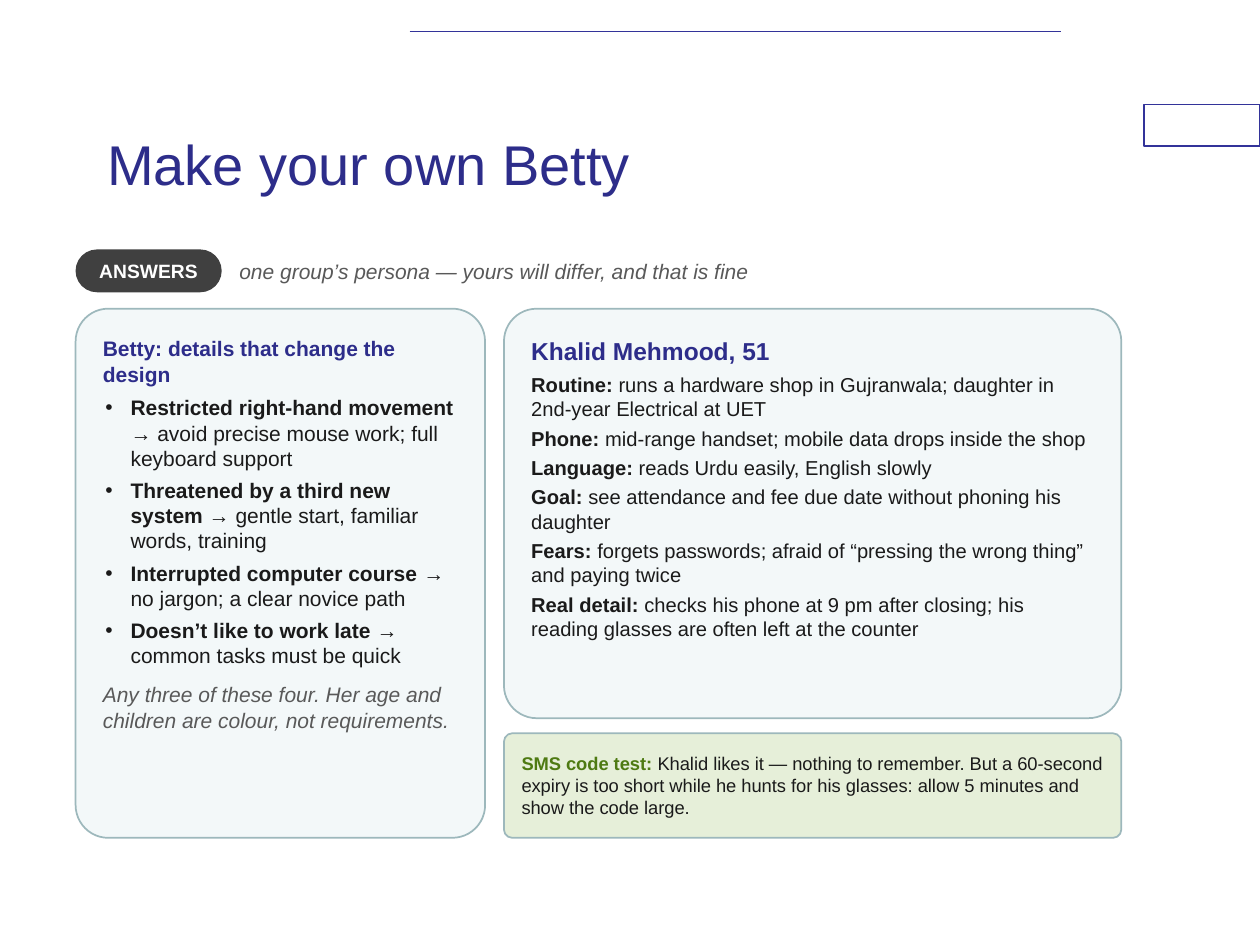
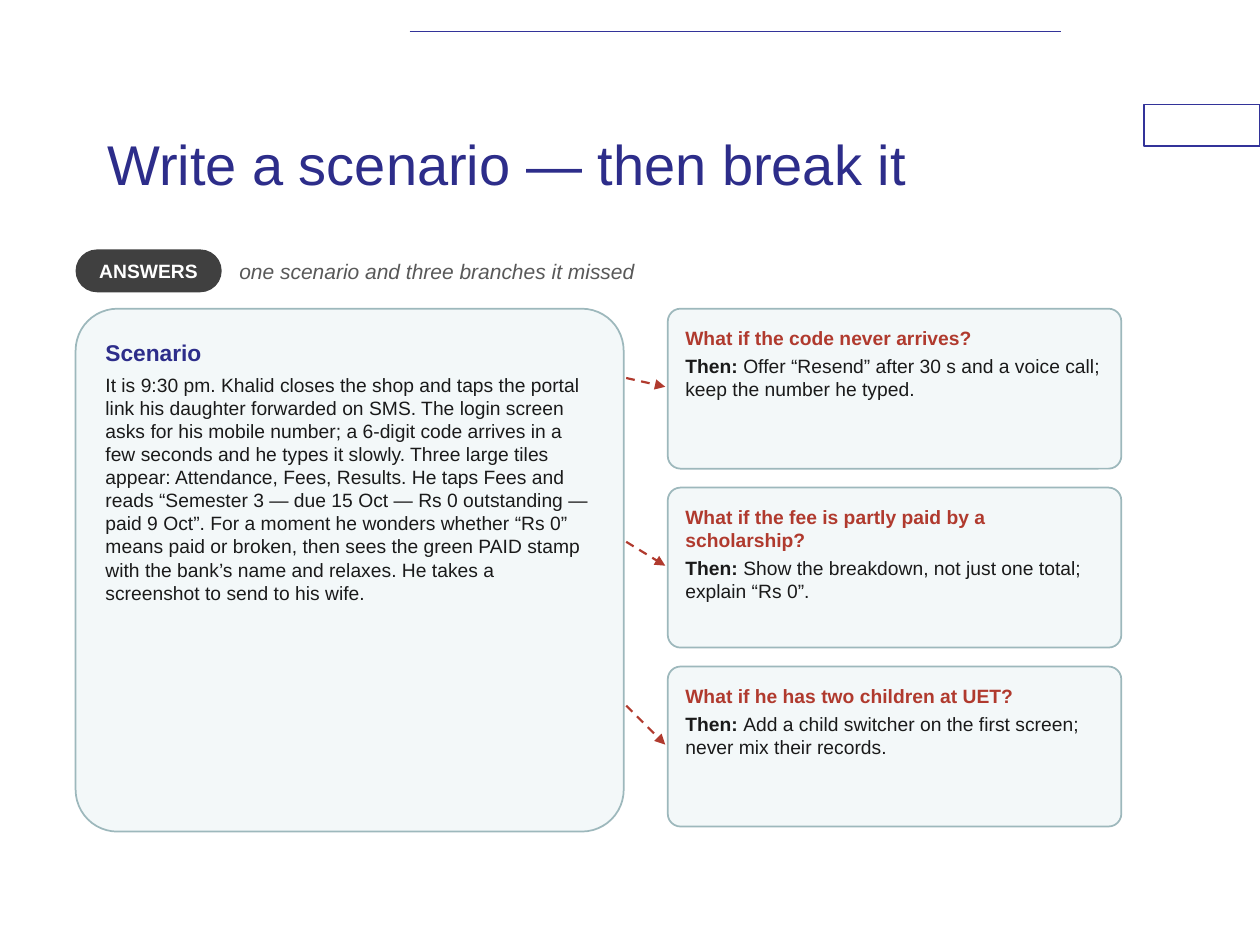
from dataclasses import dataclass

from lxml.etree import SubElement
from pptx import Presentation
from pptx.dml.color import RGBColor
from pptx.enum.dml import MSO_LINE
from pptx.enum.shapes import MSO_CONNECTOR, MSO_SHAPE
from pptx.enum.text import MSO_ANCHOR, MSO_AUTO_SIZE, PP_ALIGN
from pptx.oxml.ns import qn
from pptx.util import Inches, Pt

FONT = "Arial"
NAVY = RGBColor(0x2D, 0x2D, 0x8A)
RULE_BLUE = RGBColor(0x33, 0x33, 0x99)
WHITE = RGBColor(0xFF, 0xFF, 0xFF)
INK = RGBColor(0x1A, 0x1A, 0x1A)
GREY = RGBColor(0x59, 0x59, 0x59)
CHARCOAL = RGBColor(0x40, 0x40, 0x40)
PALE_TEAL = RGBColor(0xF3, 0xF8, 0xF9)
TEAL_EDGE = RGBColor(0x9D, 0xB8, 0xBC)
PALE_GREEN = RGBColor(0xE6, 0xEF, 0xD9)
GREEN = RGBColor(0x4E, 0x7A, 0x12)
RED = RGBColor(0xB0, 0x3A, 0x2E)


@dataclass
class Para:
    """A bold lead, a plain rest, or one followed by the other."""
    lead: str = ""
    rest: str = ""
    size: float = 12
    lead_color: RGBColor = INK
    rest_color: RGBColor = INK
    before: float = 0
    bullet: bool = False
    italic: bool = False
    align: PP_ALIGN = PP_ALIGN.LEFT


# Content: persona slide
PERSONA_TITLE = "Make your own Betty"
PERSONA_HINT = "one group’s persona — yours will differ, and that is fine"
BETTY_HEADING = "Betty: details that change the design"
BETTY_DETAILS = [
    ("Restricted right-hand movement", "avoid precise mouse work; full keyboard support"),
    ("Threatened by a third new system", "gentle start, familiar words, training"),
    ("Interrupted computer course", "no jargon; a clear novice path"),
    ("Doesn’t like to work late", "common tasks must be quick"),
]
BETTY_NOTE = "Any three of these four. Her age and children are colour, not requirements."
KHALID_HEADING = "Khalid Mehmood, 51"
KHALID_FACTS = [
    ("Routine: ", "runs a hardware shop in Gujranwala; daughter in 2nd-year Electrical at UET"),
    ("Phone: ", "mid-range handset; mobile data drops inside the shop"),
    ("Language: ", "reads Urdu easily, English slowly"),
    ("Goal: ", "see attendance and fee due date without phoning his daughter"),
    ("Fears: ", "forgets passwords; afraid of “pressing the wrong thing” and paying twice"),
    ("Real detail: ", "checks his phone at 9 pm after closing; his reading glasses are "
                      "often left at the counter"),
]
SMS_TEST = ("SMS code test: ",
            "Khalid likes it — nothing to remember. But a 60-second expiry is too short "
            "while he hunts for his glasses: allow 5 minutes and show the code large.")

# Content: scenario slide
SCENARIO_TITLE = "Write a scenario — then break it"
SCENARIO_HINT = "one scenario and three branches it missed"
SCENARIO_HEADING = "Scenario"
SCENARIO_STORY = (
    "It is 9:30 pm. Khalid closes the shop and taps the portal link his daughter "
    "forwarded on SMS. The login screen asks for his mobile number; a 6-digit code "
    "arrives in a few seconds and he types it slowly. Three large tiles appear: "
    "Attendance, Fees, Results. He taps Fees and reads “Semester 3 — due 15 Oct — "
    "Rs 0 outstanding — paid 9 Oct”. For a moment he wonders whether “Rs 0” means "
    "paid or broken, then sees the green PAID stamp with the bank’s name and relaxes. "
    "He takes a screenshot to send to his wife.")
BRANCHES = [
    ("What if the code never arrives?",
     "Offer “Resend” after 30 s and a voice call; keep the number he typed."),
    ("What if the fee is partly paid by a scholarship?",
     "Show the breakdown, not just one total; explain “Rs 0”."),
    ("What if he has two children at UET?",
     "Add a child switcher on the first screen; never mix their records."),
]

# Shared layout, in inches
LEFT, RIGHT = 0.6, 8.9
LABEL_TOP, LABEL_HEIGHT = 1.98, 0.34
BODY_TOP = 2.45


def write(frame, paras, inset, anchor=MSO_ANCHOR.TOP):
    frame.word_wrap = True
    frame.vertical_anchor = anchor
    frame.margin_left = frame.margin_right = Inches(inset)
    frame.margin_top = frame.margin_bottom = Inches(inset)
    for index, para in enumerate(paras):
        line = frame.paragraphs[0] if index == 0 else frame.add_paragraph()
        line.alignment = para.align
        line.space_before = Pt(para.before)
        if para.bullet:
            properties = line._p.get_or_add_pPr()
            properties.set("marL", str(Inches(0.22)))
            properties.set("indent", str(Inches(-0.2)))
            SubElement(properties, qn("a:buFont")).set("typeface", FONT)
            SubElement(properties, qn("a:buChar")).set("char", "•")
        line.font.name = FONT
        line.font.size = Pt(para.size)
        line.font.italic = para.italic
        line.font.color.rgb = para.rest_color if para.rest else para.lead_color
        if para.lead:
            span = line.add_run()
            span.text = para.lead
            span.font.bold = True
            span.font.color.rgb = para.lead_color
        if para.rest:
            line.add_run().text = para.rest


def add_panel(page, left, top, width, height, fill, edge=TEAL_EDGE, weight=1,
              kind=MSO_SHAPE.ROUNDED_RECTANGLE, rounding=0.08):
    panel = page.shapes.add_shape(kind, Inches(left), Inches(top), Inches(width), Inches(height))
    panel.shadow.inherit = False
    panel.fill.solid()
    panel.fill.fore_color.rgb = fill
    if kind == MSO_SHAPE.ROUNDED_RECTANGLE:
        panel.adjustments[0] = rounding
    if edge is None:
        panel.line.fill.background()
    else:
        panel.line.color.rgb = edge
        panel.line.width = Pt(weight)
    return panel


def add_line(page, start, end, color, weight, dash=MSO_LINE.SOLID):
    line = page.shapes.add_connector(MSO_CONNECTOR.STRAIGHT, *map(Inches, start + end))
    line.line.color.rgb = color
    line.line.width = Pt(weight)
    line.line.dash_style = dash
    SubElement(line._element.spPr, qn("a:effectLst"))
    return line


def add_branch_arrow(page, start, end):
    arrow = add_line(page, start, end, RED, 1.25, MSO_LINE.DASH)
    SubElement(arrow.line._get_or_add_ln(), qn("a:tailEnd")).set("type", "triangle")


def add_page(deck, title_text, hint):
    page = deck.slides.add_slide(deck.slide_layouts[5])
    # Top rule and margin tab
    add_panel(page, 9.08, 0.83, 0.92, 0.33, WHITE, RULE_BLUE, 0.75, MSO_SHAPE.RECTANGLE)
    add_line(page, (3.25, 0.25), (8.42, 0.25), RULE_BLUE, 1)
    # Title
    title = page.shapes.title
    title.left, title.top = Inches(0.75), Inches(0.67)
    title.width, title.height = Inches(7.5), Inches(1.25)
    title.text = title_text
    title.text_frame.auto_size = MSO_AUTO_SIZE.NONE
    title.text_frame.vertical_anchor = MSO_ANCHOR.MIDDLE
    heading = title.text_frame.paragraphs[0]
    heading.alignment = PP_ALIGN.LEFT
    heading.font.name = FONT
    heading.font.size = Pt(32)
    heading.font.color.rgb = NAVY
    # Answers label and hint
    label = add_panel(page, LEFT, LABEL_TOP, 1.16, LABEL_HEIGHT, CHARCOAL, None, rounding=0.5)
    write(label.text_frame,
          [Para("ANSWERS", size=11, lead_color=WHITE, align=PP_ALIGN.CENTER)],
          0.03, MSO_ANCHOR.MIDDLE)
    box = page.shapes.add_textbox(Inches(1.88), Inches(LABEL_TOP),
                                  Inches(7.03), Inches(LABEL_HEIGHT))
    write(box.text_frame, [Para(rest=hint, rest_color=GREY, italic=True)],
          0.02, MSO_ANCHOR.MIDDLE)
    return page


def build_persona(deck):
    page = add_page(deck, PERSONA_TITLE, PERSONA_HINT)
    bottom, khalid_left, sms_top = 6.65, 4, 5.82
    khalid_width = RIGHT - khalid_left

    # Betty
    betty = add_panel(page, LEFT, BODY_TOP, 3.25, bottom - BODY_TOP, PALE_TEAL)
    details = [Para(lead, f" → {rest}", before=4 if index else 5, bullet=True)
               for index, (lead, rest) in enumerate(BETTY_DETAILS)]
    write(betty.text_frame,
          [Para(BETTY_HEADING, lead_color=NAVY), *details,
           Para(rest=BETTY_NOTE, rest_color=GREY, before=8, italic=True)], 0.14)

    # Khalid
    khalid = add_panel(page, khalid_left, BODY_TOP, khalid_width, 3.25, PALE_TEAL)
    facts = [Para(lead, rest, 11.5, before=3 if index else 4)
             for index, (lead, rest) in enumerate(KHALID_FACTS)]
    write(khalid.text_frame, [Para(KHALID_HEADING, size=14, lead_color=NAVY), *facts], 0.14)

    # SMS test
    sms = add_panel(page, khalid_left, sms_top, khalid_width, bottom - sms_top, PALE_GREEN)
    write(sms.text_frame, [Para(*SMS_TEST, size=10.5, lead_color=GREEN)],
          0.12, MSO_ANCHOR.MIDDLE)


def build_scenario(deck):
    page = add_page(deck, SCENARIO_TITLE, SCENARIO_HINT)
    story_width, branch_left, gap = 4.35, 5.3, 0.02

    # Scenario
    story = add_panel(page, LEFT, BODY_TOP, story_width, 4.15, PALE_TEAL)
    write(story.text_frame,
          [Para(SCENARIO_HEADING, size=13, lead_color=NAVY),
           Para(rest=SCENARIO_STORY, size=11, before=4)], 0.14)

    # Branches, each with its arrow
    for index, (question, answer) in enumerate(BRANCHES):
        top = BODY_TOP + index * 1.42
        branch = add_panel(page, branch_left, top, RIGHT - branch_left, 1.27, PALE_TEAL)
        write(branch.text_frame,
              [Para(question, size=11, lead_color=RED),
               Para("Then: ", answer, 11, before=3)], 0.11)
        add_branch_arrow(page, (LEFT + story_width + gap, 3 + index * 1.3),
                         (branch_left - gap, top + 0.62))


def main():
    deck = Presentation()
    deck.slide_width, deck.slide_height = Inches(10), Inches(7.5)
    build_persona(deck)
    build_scenario(deck)
    deck.save("out.pptx")


if __name__ == "__main__":
    main()
